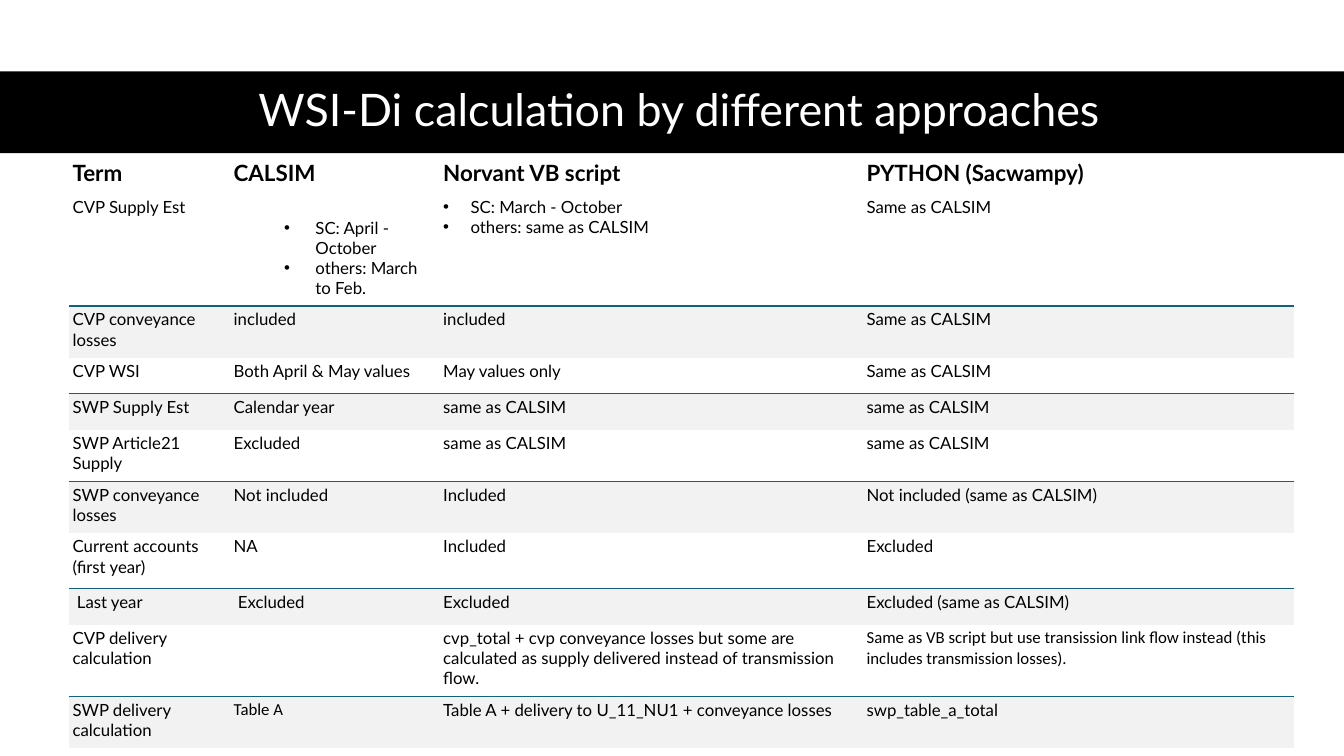
import lxml.etree
import pptx
import pptx.dml.color
import pptx.enum.shapes
import pptx.enum.text
import pptx.oxml.ns
import pptx.util

Cm = pptx.util.Cm
Pt = pptx.util.Pt
RGBColor = pptx.dml.color.RGBColor
qn = pptx.oxml.ns.qn

BLACK = RGBColor(0x00, 0x00, 0x00)
WHITE = RGBColor(0xFF, 0xFF, 0xFF)
BAND = RGBColor(0xF2, 0xF2, 0xF2)
RULE = RGBColor(0x15, 0x60, 0x82)

SLIDE_WIDTH, SLIDE_HEIGHT = 33.87, 19.05
COLUMN_WIDTHS = [4.06, 5.28, 10.67, 10.88]
ROW_HEIGHTS = [1.07, 2.77, 1.3, 0.91, 0.91, 1.3, 1.3, 1.4, 0.91, 1.8, 1.3]

# A list in a cell stands for bullet points
COMPARISON = [
    ["Term", "CALSIM", "Norvant VB script", "PYTHON (Sacwampy)"],
    ["CVP Supply Est", ["SC: April - October", "others: March to Feb."],
     ["SC: March - October", "others: same as CALSIM"], "Same as CALSIM"],
    ["CVP conveyance losses", "included", "included", "Same as CALSIM"],
    ["CVP WSI", "Both April & May values", "May values only", "Same as CALSIM"],
    ["SWP Supply Est", "Calendar year", "same as CALSIM", "same as CALSIM"],
    ["SWP Article21 Supply", "Excluded", "same as CALSIM", "same as CALSIM"],
    ["SWP conveyance losses", "Not included", "Included",
     "Not included (same as CALSIM)"],
    ["Current accounts (first year)", "NA", "Included", "Excluded"],
    [" Last year", " Excluded", "Excluded", "Excluded (same as CALSIM)"],
    ["CVP delivery calculation", "",
     "cvp_total + cvp conveyance losses but some are calculated as supply "
     "delivered instead of transmission flow.",
     "Same as VB script but use transission link flow instead (this includes "
     "transmission losses)."],
    ["SWP delivery calculation", "Table A",
     "Table A + delivery to U_11_NU1 + conveyance losses", "swp_table_a_total"],
]
CALIBRI_CELLS = {(9, 3), (10, 1)}
BULLET_INDENTS = {1: (2.06, -0.79), 2: (0.69, -0.69)}  # by column: margin, first line
CALSIM_PERIODS = (1, 1)  # its bullets start one line lower


def add_text(paragraph, text, size, color, font="Lato", bold=False):
    run = paragraph.add_run()
    run.text = text
    run.font.name = font
    run.font.size = Pt(size)
    run.font.bold = bold
    run.font.color.rgb = color


def add_bullet(paragraph, margin, first_line):
    properties = paragraph._p.get_or_add_pPr()
    properties.set("marL", str(Cm(margin)))
    properties.set("indent", str(Cm(first_line)))
    lxml.etree.SubElement(properties, qn("a:buFont")).set("typeface", "Arial")
    lxml.etree.SubElement(properties, qn("a:buChar")).set("char", "•")


def set_borders(cell, ruled_edge):
    properties = cell._tc.get_or_add_tcPr()
    for edge in ("lnL", "lnR", "lnT", "lnB"):
        line = lxml.etree.SubElement(properties, qn(f"a:{edge}"))
        if edge == ruled_edge:
            line.set("w", str(Pt(1)))
            fill = lxml.etree.SubElement(line, qn("a:solidFill"))
            lxml.etree.SubElement(fill, qn("a:srgbClr")).set("val", str(RULE))
        else:
            lxml.etree.SubElement(line, qn("a:noFill"))


def add_title_band(slide, text, left, top, width, height):
    # Title text
    title = slide.shapes.title
    title.left, title.top = Cm(left + 1.55), Cm(top - 0.02)
    title.width, title.height = Cm(width - 2.73), Cm(height)
    frame = title.text_frame
    frame.word_wrap = True
    frame.auto_size = pptx.enum.text.MSO_AUTO_SIZE.NONE
    frame.vertical_anchor = pptx.enum.text.MSO_ANCHOR.MIDDLE
    heading = frame.paragraphs[0]
    heading.alignment = pptx.enum.text.PP_ALIGN.CENTER
    heading.line_spacing = 0.9
    add_text(heading, text, 32, WHITE)

    # Black band, placed behind the title
    band = slide.shapes.add_shape(pptx.enum.shapes.MSO_SHAPE.RECTANGLE,
                                  Cm(left), Cm(top), Cm(width), Cm(height))
    band.shadow.inherit = False
    band.fill.solid()
    band.fill.fore_color.rgb = BLACK
    band.line.fill.background()
    title.element.addprevious(band.element)


def fill_cell(cell, row, column, content):
    header = row == 0
    shaded = row > 0 and row % 2 == 0

    # Margins, rules and band
    cell.margin_left = cell.margin_right = Cm(0.1)
    cell.margin_top = Cm(0.6 if (row, column) == CALSIM_PERIODS else 0.08)
    cell.margin_bottom = Cm(0.2)
    if header:
        cell.vertical_anchor = pptx.enum.text.MSO_ANCHOR.BOTTOM
    set_borders(cell, None if header else "lnT" if shaded else "lnB")
    if shaded:
        cell.fill.solid()
        cell.fill.fore_color.rgb = BAND
    else:
        cell.fill.background()

    # Text
    bulleted = isinstance(content, list)
    font = "Calibri" if (row, column) in CALIBRI_CELLS else "Lato"
    frame = cell.text_frame
    for index, text in enumerate(content if bulleted else [content]):
        paragraph = frame.add_paragraph() if index else frame.paragraphs[0]
        if bulleted:
            add_bullet(paragraph, *BULLET_INDENTS[column])
        if text:
            add_text(paragraph, text, 16 if header else 12, BLACK, font, header)


def add_comparison_table(slide, left, top, width, height):
    table = slide.shapes.add_table(len(ROW_HEIGHTS), len(COLUMN_WIDTHS), Cm(left),
                                   Cm(top), Cm(width), Cm(height)).table
    table.first_row = False
    table.horz_banding = False
    for column, column_width in zip(table.columns, COLUMN_WIDTHS):
        column.width = Cm(column_width)
    for row, row_height in zip(table.rows, ROW_HEIGHTS):
        row.height = Cm(row_height)
    for row, contents in enumerate(COMPARISON):
        for column, content in enumerate(contents):
            fill_cell(table.cell(row, column), row, column, content)


def main():
    presentation = pptx.Presentation()
    presentation.slide_width = Cm(SLIDE_WIDTH)
    presentation.slide_height = Cm(SLIDE_HEIGHT)
    slide = presentation.slides.add_slide(
        presentation.slide_layouts.get_by_name("Title Only"))
    add_title_band(slide, "WSI-Di calculation by different approaches",
                   0, 1.8, SLIDE_WIDTH, 2.06)
    add_comparison_table(slide, 1.73, 3.81, sum(COLUMN_WIDTHS), sum(ROW_HEIGHTS))
    presentation.save("out.pptx")


if __name__ == "__main__":
    main()
